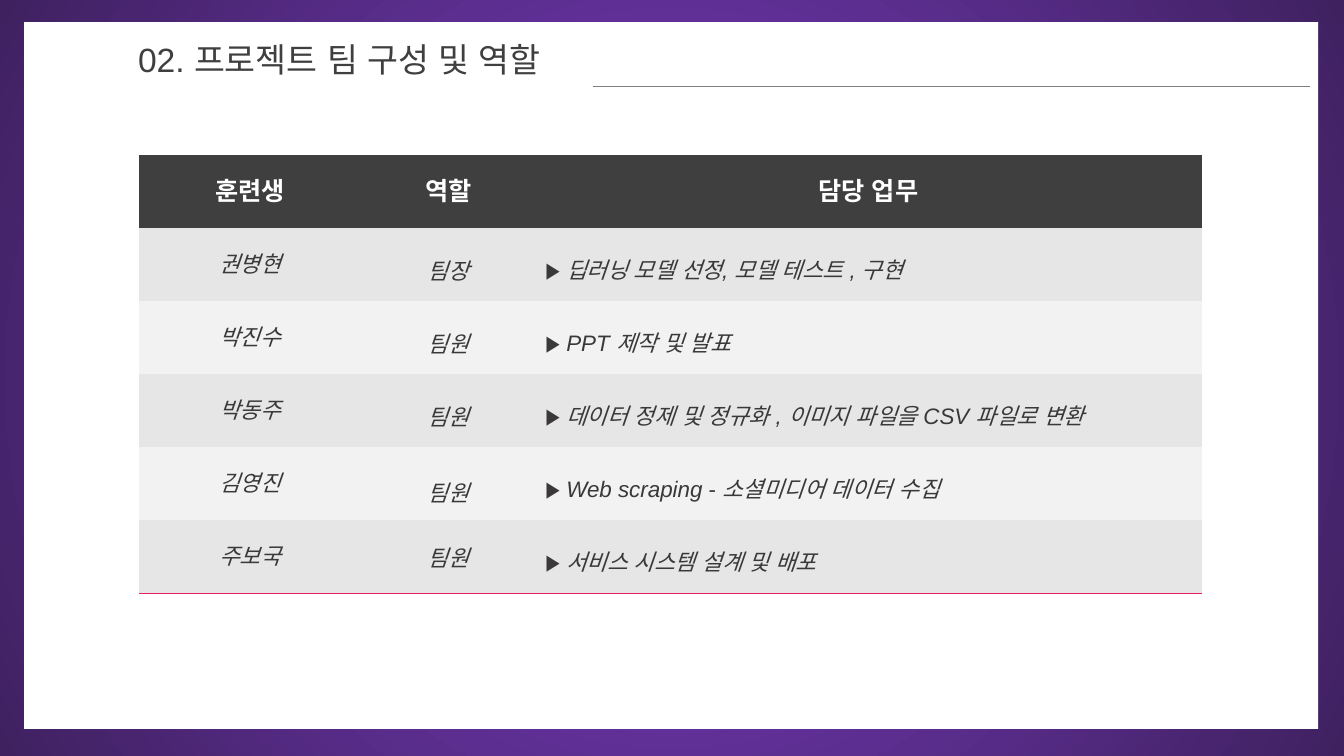
from dataclasses import dataclass

import lxml.etree
import pptx
import pptx.dml.color
import pptx.enum.shapes
import pptx.enum.text
import pptx.oxml.ns
import pptx.util

Cm = pptx.util.Cm
Pt = pptx.util.Pt
qn = pptx.oxml.ns.qn
ALIGN = pptx.enum.text.PP_ALIGN

DARK, BODY, WHITE, PINK = "3F3F3F", "3A3838", "FFFFFF", "E91D63"
BANDS = ("E6E6E6", "F2F2F2")
NO_STYLE = "{2D5ABB26-0587-4C30-8999-92F81FD0307C}"
HEADERS = ("훈련생", "역할", "담당 업무")
COLUMN_WIDTHS = (5.59, 4.39, 16.79)
ROW_HEIGHT = 1.84

TITLE = {"size": Pt(24), "name": "Arial"}
HEADER = {"size": Pt(18), "name": "Arial", "bold": True}
PLAIN = {"size": Pt(16), "name": "Arial", "bold": False, "italic": False}
ITALIC = PLAIN | {"italic": True}
MARKER = PLAIN | {"bold": True}


@dataclass
class Span:
    text: str
    style: dict
    colour: str = BODY


@dataclass
class Member:
    name: str
    role: str
    duties: list[Span]
    role_font: str = "Calibri"
    role_spacing: float | None = 1.5


MEMBERS = [
    Member("권병현", "팀장", [Span("딥러닝 모델 선정, 모델 테스트 , 구현", ITALIC)]),
    Member("박진수", "팀원", [Span("PPT 제작 및 발표", ITALIC)]),
    Member("박동주", "팀원",
           [Span("데이터 정제 및 정규화 , 이미지 파일을 CSV 파일로 변환", ITALIC)]),
    Member("김영진", "팀원",
           [Span("Web scraping", ITALIC), Span(" - ", PLAIN),
            Span("소셜미디어 데이터 수집", ITALIC)], "Noto Sans CJK KR"),
    Member("주보국", "팀원", [Span("서비스 시스템 설계 및 배포", ITALIC)],
           "Noto Sans CJK KR", None),
]


def rgb(colour: str) -> pptx.dml.color.RGBColor:
    return pptx.dml.color.RGBColor.from_string(colour)


def write(frame, spans: list[Span], align=ALIGN.LEFT, spacing: float | None = None) -> None:
    para = frame.paragraphs[0]
    para.alignment = align
    if spacing:
        para.line_spacing = spacing
    for span in spans:
        run = para.add_run()
        run.text = span.text
        for key, value in span.style.items():
            setattr(run.font, key, value)
        run.font.color.rgb = rgb(span.colour)
        properties = run.font._element
        east_asian = lxml.etree.Element(qn("a:ea"), typeface=span.style["name"])
        properties.find(qn("a:latin")).addnext(east_asian)


def paint_background(page) -> None:
    """Fill the page with a radial gradient from its centre."""
    fill = page.background.fill
    fill.gradient()
    for stop, colour in zip(fill.gradient_stops, ("7E3DC8", "3F2160")):
        stop.color.rgb = rgb(colour)
    gradient = next(page._element.iter(qn("a:gradFill")))
    gradient.remove(gradient.find(qn("a:lin")))
    circle = lxml.etree.SubElement(gradient, qn("a:path"), {"path": "circle"})
    lxml.etree.SubElement(circle, qn("a:fillToRect"),
                          {side: "50000" for side in "ltrb"})


def add_panel(page) -> None:
    panel = page.shapes.add_shape(pptx.enum.shapes.MSO_SHAPE.RECTANGLE,
                                  Cm(0.61), Cm(0.56), Cm(32.61), Cm(17.81))
    panel.shadow.inherit = False
    panel.fill.solid()
    panel.fill.fore_color.rgb = rgb(WHITE)
    panel.line.fill.background()


def add_title(page) -> None:
    rule = page.shapes.add_connector(pptx.enum.shapes.MSO_CONNECTOR.STRAIGHT,
                                     Cm(14.94), Cm(2.18), Cm(33.02), Cm(2.18))
    rule.line.color.rgb = rgb("7F7F7F")
    rule.line.width = Pt(1)
    lxml.etree.SubElement(rule._element.spPr, qn("a:effectLst"))
    box = page.shapes.add_textbox(Cm(3.23), Cm(0.86), Cm(10.77), Cm(1.27))
    box.text_frame.word_wrap = True
    box.text_frame.auto_size = pptx.enum.text.MSO_AUTO_SIZE.SHAPE_TO_FIT_TEXT
    write(box.text_frame, [Span("02. 프로젝트 팀 구성 및 역할", TITLE, DARK)])


def fill_cell(cell, colour: str) -> None:
    cell.fill.solid()
    cell.fill.fore_color.rgb = rgb(colour)
    cell.vertical_anchor = pptx.enum.text.MSO_ANCHOR.MIDDLE


def underline_cell(cell) -> None:
    border = lxml.etree.Element(qn("a:lnB"), w=str(Pt(0.75)))
    solid = lxml.etree.SubElement(border, qn("a:solidFill"))
    lxml.etree.SubElement(solid, qn("a:srgbClr"), val=PINK)
    cell._tc.get_or_add_tcPr().insert(0, border)


def add_team_table(page) -> None:
    row_count = len(MEMBERS) + 1
    frame = page.shapes.add_table(row_count, len(HEADERS), Cm(3.51), Cm(3.91),
                                  Cm(sum(COLUMN_WIDTHS)), Cm(ROW_HEIGHT * row_count))
    next(frame._element.iter(qn("a:tableStyleId"))).text = NO_STYLE
    table = frame.table
    for column, width in zip(table.columns, COLUMN_WIDTHS):
        column.width = Cm(width)
    for row in table.rows:
        row.height = Cm(ROW_HEIGHT)

    for cell, header in zip(table.rows[0].cells, HEADERS):
        fill_cell(cell, DARK)
        write(cell.text_frame, [Span(header, HEADER, WHITE)], ALIGN.CENTER)

    for index, member in enumerate(MEMBERS):
        name, role, duties = cells = list(table.rows[index + 1].cells)
        for cell in cells:
            fill_cell(cell, BANDS[index % 2])
        write(name.text_frame, [Span(member.name, ITALIC)], ALIGN.CENTER)
        write(role.text_frame, [Span(member.role, ITALIC | {"name": member.role_font})],
              ALIGN.CENTER, member.role_spacing)
        write(duties.text_frame, [Span("▶ ", MARKER), *member.duties], spacing=1.5)

    for cell in table.rows[row_count - 1].cells:
        underline_cell(cell)


def main() -> None:
    deck = pptx.Presentation()
    deck.slide_width, deck.slide_height = Cm(33.87), Cm(19.05)
    page = deck.slides.add_slide(deck.slide_layouts[6])
    paint_background(page)
    add_panel(page)
    add_title(page)
    add_team_table(page)
    deck.save("out.pptx")


if __name__ == "__main__":
    main()
